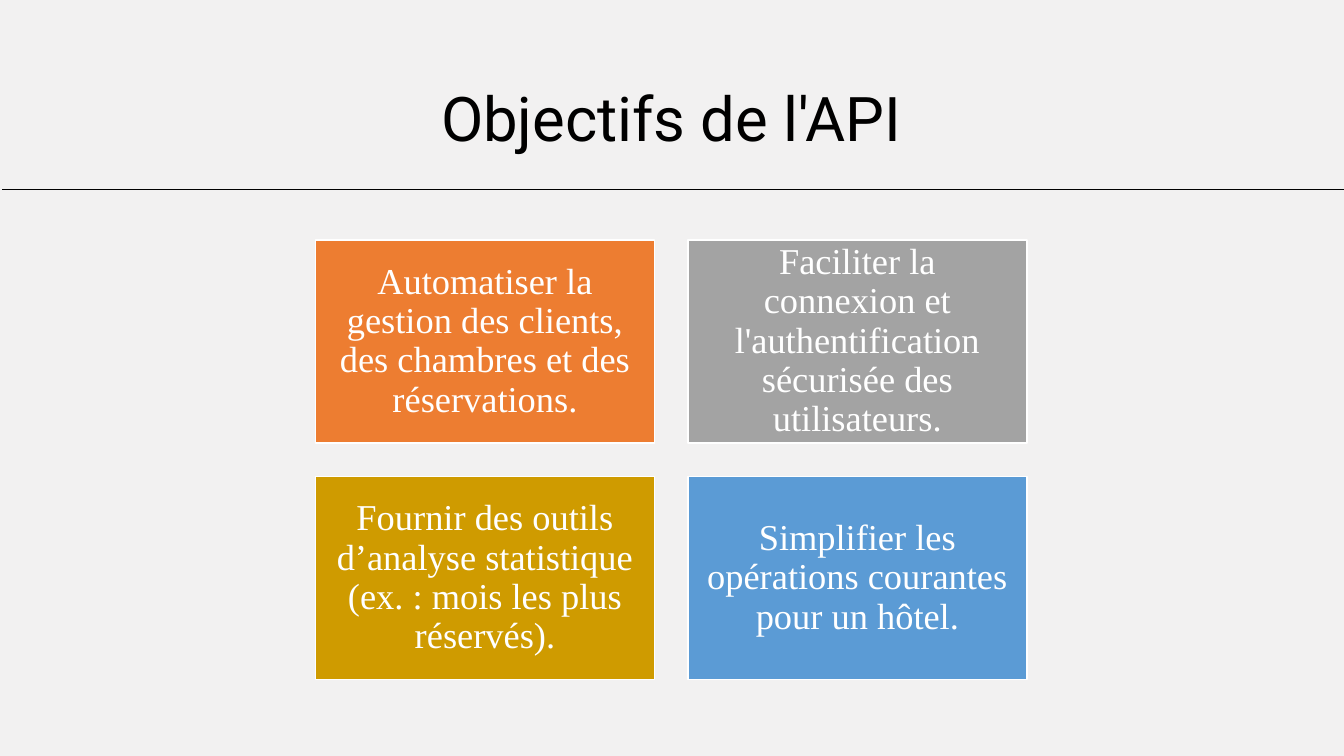
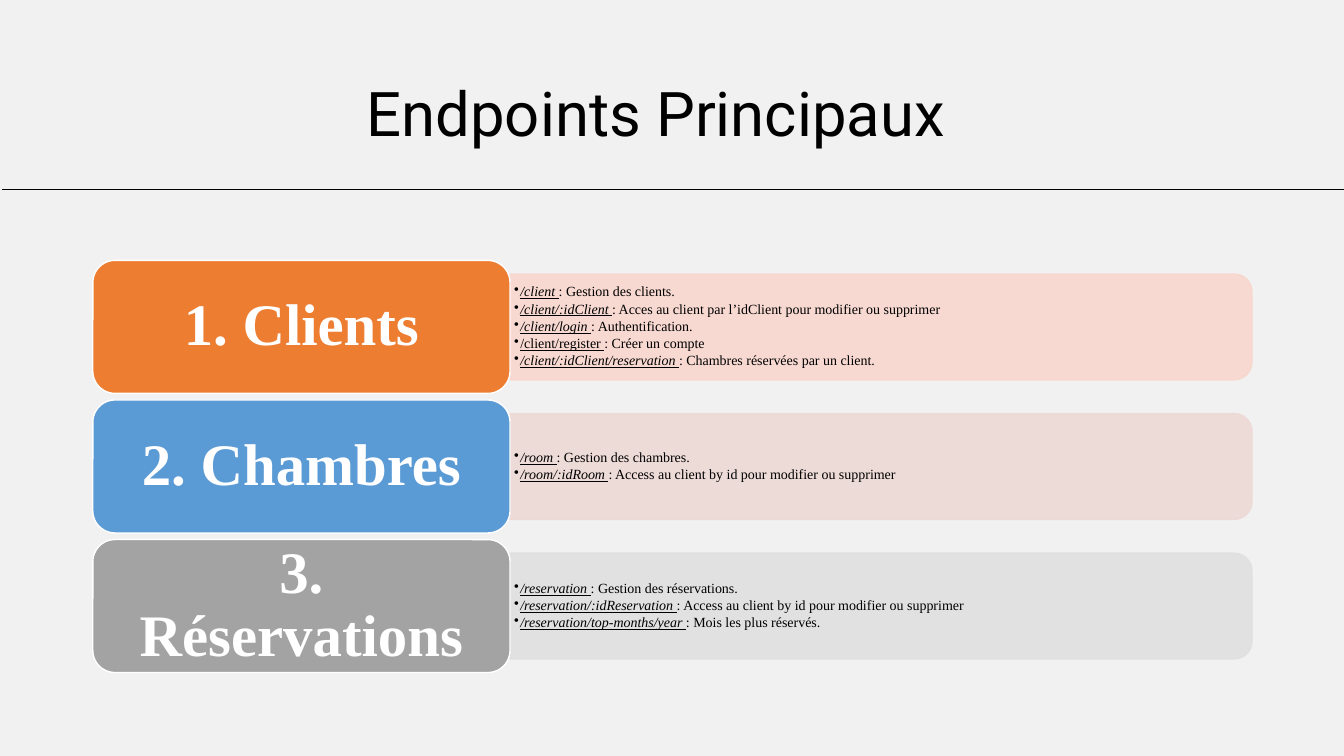
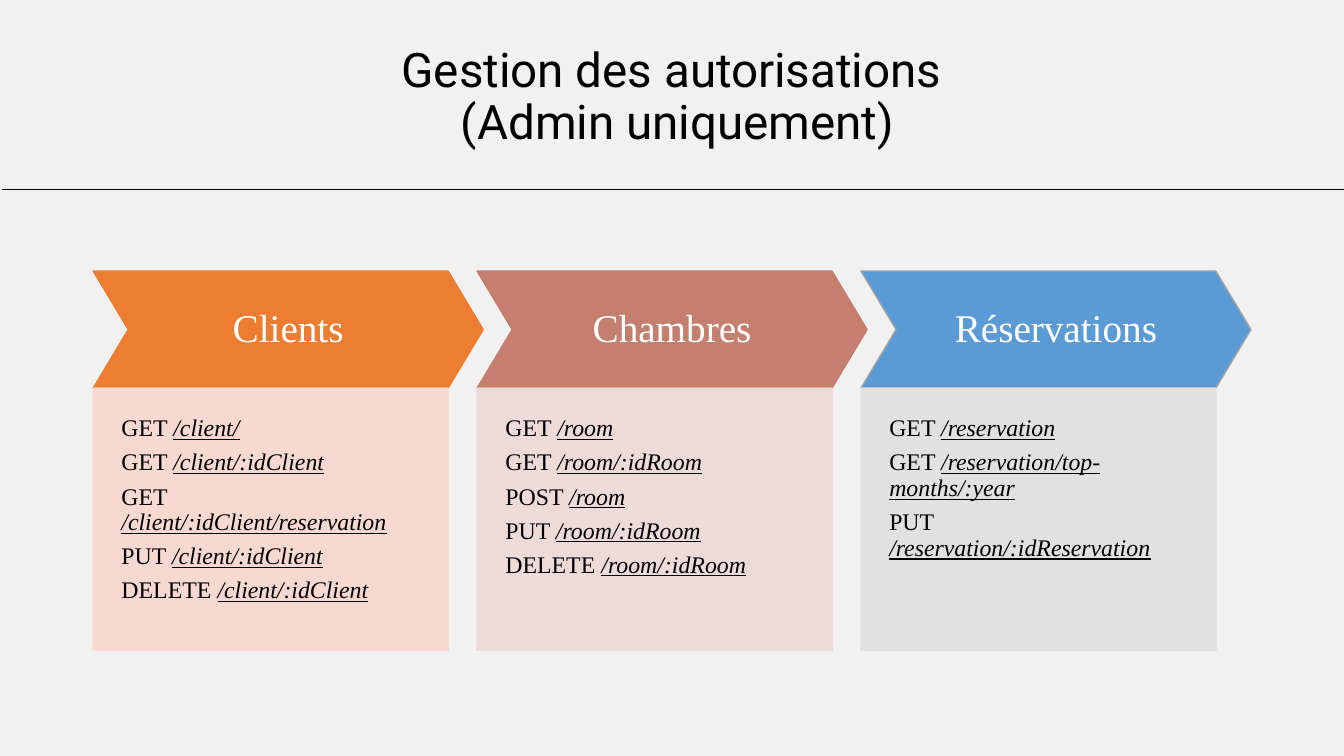
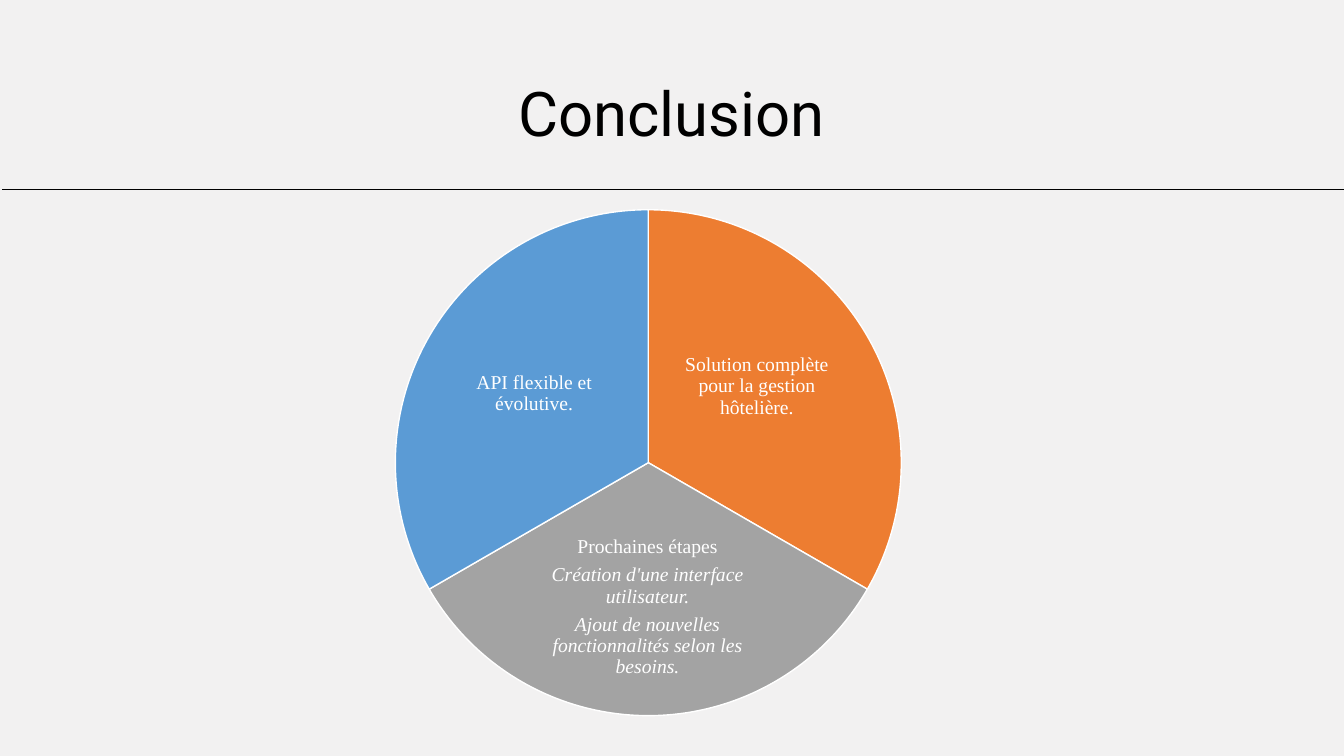
from lxml import etree
from pptx import Presentation
from pptx.dml.color import RGBColor
from pptx.enum.shapes import MSO_CONNECTOR, MSO_SHAPE
from pptx.enum.text import MSO_ANCHOR, PP_ALIGN
from pptx.oxml.ns import qn
from pptx.util import Pt

LEFT, CENTER = PP_ALIGN.LEFT, PP_ALIGN.CENTER
TOP, MIDDLE, BOTTOM = MSO_ANCHOR.TOP, MSO_ANCHOR.MIDDLE, MSO_ANCHOR.BOTTOM
RECTANGLE = MSO_SHAPE.RECTANGLE
ROUNDED = MSO_SHAPE.ROUNDED_RECTANGLE
ROUNDED_TOP = MSO_SHAPE.ROUND_2_SAME_RECTANGLE
CHEVRON = MSO_SHAPE.CHEVRON
PIE = MSO_SHAPE.PIE
STRAIGHT = MSO_CONNECTOR.STRAIGHT

TITLE_FONT = "Roboto"
BODY_FONT = "Times New Roman"
COLORS = {
    "background": "F2F1F1",
    "black": "000000",
    "white": "FFFFFF",
    "orange": "ED7D31",
    "gray": "A3A3A3",
    "gold": "CF9B00",
    "blue": "5B9BD5",
    "rose": "C47F6E",
    "pale orange": "F8D7CE",
    "pale rose": "EDD9D6",
    "pale gray": "E0E0E0",
}


def write(shape, lines, size, color="white", font=BODY_FONT, align=CENTER,
          anchor=MIDDLE, insets=(0, 0, 0, 0), after=0.35, bold=False):
    frame = shape.text_frame
    frame.word_wrap = True
    frame.vertical_anchor = anchor
    frame.margin_left, frame.margin_top, frame.margin_right, frame.margin_bottom = map(Pt, insets)
    for number, parts in enumerate(lines):
        paragraph = frame.add_paragraph() if number else frame.paragraphs[0]
        paragraph.text = parts[0]
        for part in parts[1:]:
            paragraph.add_run().text = part
        paragraph.alignment = align
        paragraph.line_spacing = 0.9
        paragraph.space_after = Pt(round(size * after, 2))
        for run in paragraph.runs:
            run.font.name = font
            run.font.size = Pt(size)
            run.font.bold = bold
            run.font.color.rgb = RGBColor.from_string(COLORS[color])
    return frame.paragraphs


def block(slide, kind, left, top, width, height, fill, outline="white", opacity=100):
    shape = slide.shapes.add_shape(kind, Pt(left), Pt(top), Pt(width), Pt(height))
    shape.shadow.inherit = False
    shape.fill.solid()
    shape.fill.fore_color.rgb = RGBColor.from_string(COLORS[fill])
    shape.line.color.rgb = RGBColor.from_string(COLORS[outline])
    shape.line.width = Pt(1)
    if opacity < 100:
        for tint in shape._element.spPr.iter(qn("a:srgbClr")):
            etree.SubElement(tint, qn("a:alpha"), val=str(opacity * 1000))
    return shape


prs = Presentation()
prs.slide_width, prs.slide_height = Pt(960), Pt(540)
blank = prs.slide_layouts[6]
blank.background.fill.solid()
blank.background.fill.fore_color.rgb = RGBColor.from_string(COLORS["background"])

titles = [
    ("Objectifs de l'API", 88.5, 28.8, 782.5, 85, 44),
    ("Endpoints Principaux", 66.2, 28.8, 805, 81.4, 44),
    ("Gestion des autorisations\v (Admin uniquement)", 88.5, 25.2, 782.5, 85, 34),
    ("Conclusion", 88.5, 25.2, 782.5, 85, 44),
]
slides = []
for title, left, top, width, height, size in titles:
    slide = prs.slides.add_slide(blank)
    heading = slide.shapes.add_textbox(Pt(left), Pt(top), Pt(width), Pt(height))
    write(heading, [(title,)], size, "black", TITLE_FONT, anchor=BOTTOM,
          insets=(7.2, 3.6, 7.2, 3.6), after=0)
    rule = slide.shapes.add_connector(STRAIGHT, Pt(960), Pt(135.3), Pt(1.4), Pt(135.3))
    rule.line.color.rgb = RGBColor.from_string(COLORS["black"])
    rule.line.width = Pt(0.5)
    etree.SubElement(rule._element.spPr, qn("a:effectLst"))
    slides.append(slide)
objectives, endpoints, permissions, conclusion = slides

goals = [
    ("Automatiser la gestion des clients, des chambres et des réservations.", "orange"),
    ("Faciliter la connexion et l'authentification sécurisée des utilisateurs.", "gray"),
    ("Fournir des outils d’analyse statistique (ex. : mois les plus réservés).", "gold"),
    ("Simplifier les opérations courantes pour un hôtel.", "blue"),
]
card_width, card_height, card_gap = 242, 145, 24
for index, (goal, color) in enumerate(goals):
    row, column = divmod(index, 2)
    card = block(objectives, RECTANGLE, 225.5 + column * (card_width + card_gap),
                 171.4 + row * (card_height + card_gap), card_width, card_height, color)
    write(card, [(goal,)], 26, insets=(7.8, 7.8, 7.8, 7.8))

resources = [
    ("1. Clients", "orange", "pale orange", [
        ("/client ", ": Gestion des clients."),
        ("/client/:idClient ", ": Acces au client par l’idClient pour modifier ou supprimer"),
        ("/client/login ", ": Authentification."),
        ("/client/register ", ": Créer un compte"),
        ("/client/:idClient/reservation ", ": Chambres réservées par un client."),
    ]),
    ("2. Chambres", "blue", "pale rose", [
        ("/room ", ": Gestion des chambres."),
        ("/room/:idRoom ", ": Access au client by id pour modifier ou supprimer"),
    ]),
    ("3. Réservations", "gray", "pale gray", [
        ("/reservation ", ": Gestion des réservations."),
        ("/reservation/:idReservation ", ": Access au client by id pour modifier ou supprimer"),
        ("/reservation/top-months/year ", ": Mois les plus réservés."),
    ]),
]
upright_route = "/client/register "
label_left, label_width, label_height = 66.3, 298, 95
band_left, band_width, band_height = label_left + label_width, 530, 75.6
for index, (name, color, pale, routes) in enumerate(resources):
    top = 186 + index * 99.7
    middle = top + label_height / 2
    band = block(endpoints, ROUNDED_TOP, band_left + (band_width - band_height) / 2,
                 middle - band_width / 2, band_height, band_width, pale, pale, 90)
    band.rotation = 90
    details = endpoints.shapes.add_textbox(Pt(band_left), Pt(middle - 34.2), Pt(526), Pt(68.4))
    for paragraph in write(details, routes, 10, "black", align=LEFT,
                           insets=(2.9, 1.4, 2.9, 1.4), after=0.15):
        route = paragraph.runs[0]
        route.font.underline = True
        route.font.italic = route.text != upright_route
        properties = paragraph._p.get_or_add_pPr()
        properties.set("marL", str(Pt(4.5)))
        properties.set("indent", str(Pt(-4.5)))
        etree.SubElement(properties, qn("a:buChar"), char="•")
    label = block(endpoints, ROUNDED, label_left, top, label_width, label_height, color)
    write(label, [(name,)], 42, insets=(12.6, 6.3, 12.6, 6.3), bold=True)

admin_rights = [
    ("Clients", "orange", "orange", "pale orange", [
        ("GET ", "/client/"),
        ("GET ", "/client/:idClient"),
        ("GET ", "/client/:idClient/reservation"),
        ("PUT ", "/client/:idClient"),
        ("DELETE ", "/client/:idClient"),
    ]),
    ("Chambres", "rose", "rose", "pale rose", [
        ("GET ", "/room"),
        ("GET ", "/room/:idRoom"),
        ("POST ", "/room"),
        ("PUT ", "/room/:idRoom"),
        ("DELETE ", "/room/:idRoom"),
    ]),
    ("Réservations", "blue", "gray", "pale gray", [
        ("GET ", "/reservation"),
        ("GET ", "/reservation/top-months/:year"),
        ("PUT ", "/reservation/:idReservation"),
    ]),
]
arrow_top, arrow_height = 193.6, 83.6
for index, (name, color, outline, pale, calls) in enumerate(admin_rights):
    left = 66.6 + index * 274.2
    arrow = block(permissions, CHEVRON, left, arrow_top, 278.6, arrow_height, color, outline)
    arrow.adjustments[0] = 0.3
    write(arrow, [(name,)], 28, insets=(10, 10, 10, 10))
    panel = block(permissions, RECTANGLE, left, arrow_top + arrow_height, 253.6, 187.4,
                  pale, pale, 90)
    for paragraph in write(panel, calls, 17, "black", align=LEFT, anchor=TOP,
                           insets=(20.2, 20.2, 20.2, 40.3)):
        route = paragraph.runs[1]
        route.font.italic = True
        route.font.underline = True

takeaways = [
    ("orange", 162, 18, (479.5, 216, 122.4, 120.2),
     [("Solution complète pour la gestion hôtelière.",)]),
    ("gray", 18, 90, (380.9, 378, 163.4, 111.6),
     [("Prochaines étapes",),
      ("Création d'une interface utilisateur.",),
      ("Ajout de nouvelles fonctionnalités selon les besoins.",)]),
    ("blue", 90, 162, (320.4, 221, 122.4, 120.2),
     [("API flexible et évolutive.",)]),
]
for color, start, end, area, lines in takeaways:
    sector = block(conclusion, PIE, 282.4, 149.8, 361.4, 361.4, color)
    sector.adjustments[0] = start
    sector.adjustments[1] = end
    caption = conclusion.shapes.add_textbox(*map(Pt, area))
    for paragraph in write(caption, lines, 14, insets=(1.4, 1.4, 1.4, 1.4))[1:]:
        paragraph.runs[0].font.italic = True

prs.save("out.pptx")
